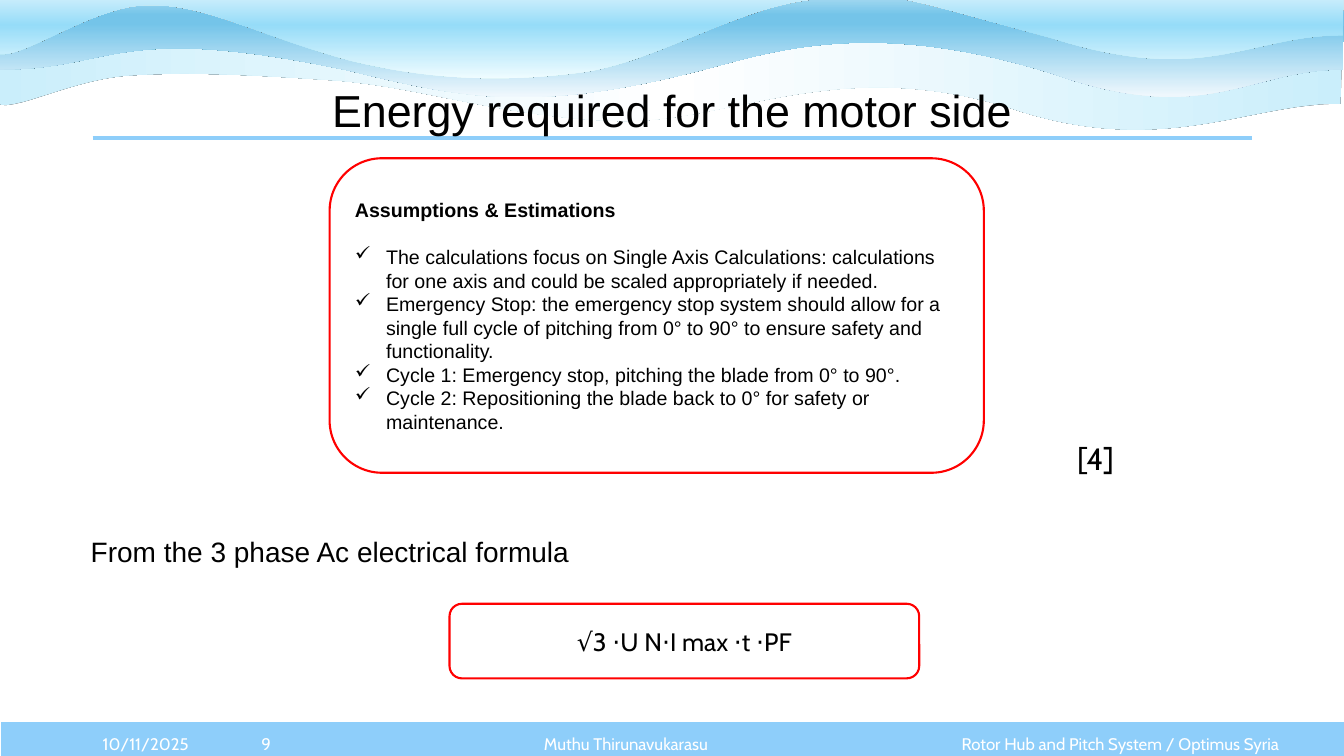
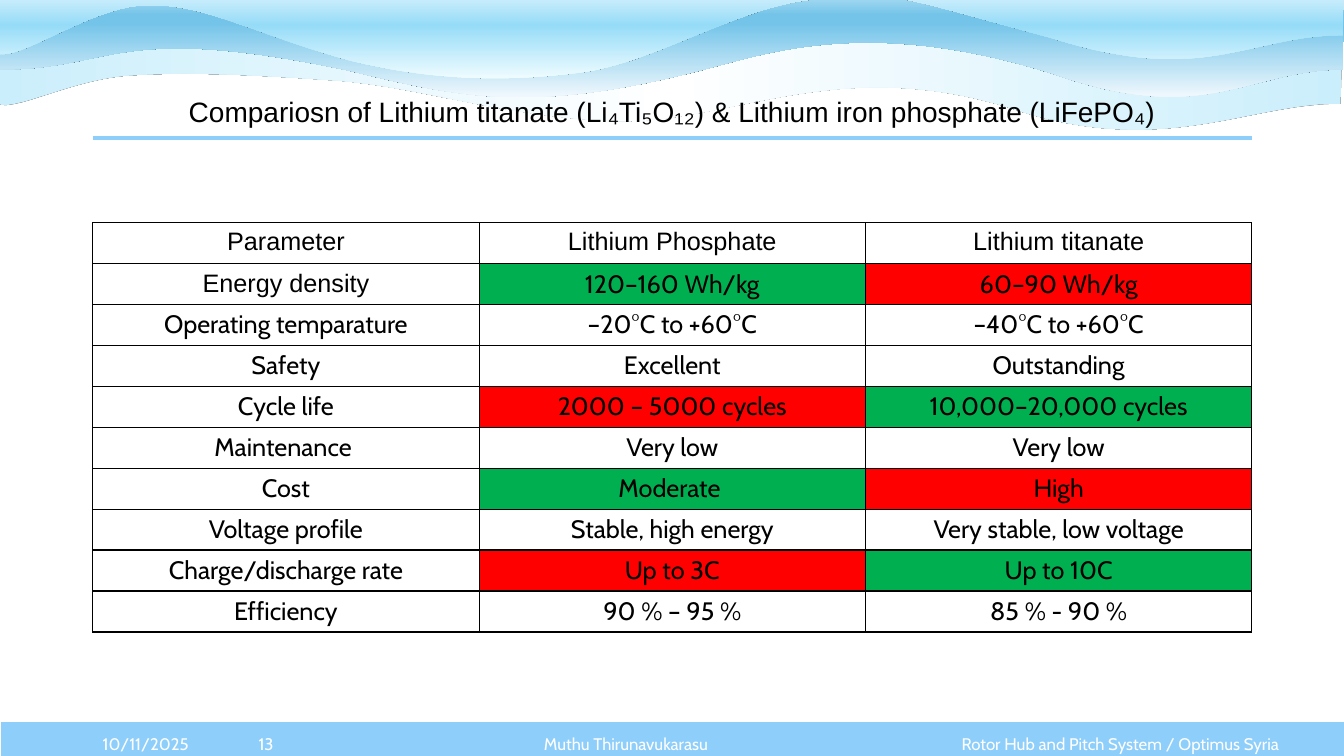
from dataclasses import dataclass

from pptx import Presentation
from pptx.dml.color import RGBColor
from pptx.enum.shapes import MSO_CONNECTOR, MSO_SHAPE
from pptx.enum.text import MSO_ANCHOR, PP_ALIGN
from pptx.oxml import parse_xml
from pptx.oxml.ns import nsdecls
from pptx.util import Inches, Pt


@dataclass(frozen=True)
class Theme:
    black: str = "000000"
    white: str = "FFFFFF"
    sky: str = "8ECEFA"
    red: str = "FF0000"
    green: str = "00B050"
    sans: str = "Arial"
    cabin: str = "Cabin"
    title: int = 32
    reference: int = 22
    lead: int = 20
    table: int = 18
    card: int = 14
    footer: int = 12


theme = Theme()


def write(paragraph, text, size, font, color=theme.black, bold=False, align=PP_ALIGN.LEFT):
    paragraph.alignment = align
    run = paragraph.add_run()
    run.text = text
    run.font.size = Pt(size)
    run.font.name = font
    run.font.bold = bold
    run.font.color.rgb = RGBColor.from_string(color)


def add_panel(shapes, preset, box, fill, line):
    panel = shapes.add_shape(preset, *map(Inches, box))
    panel.shadow.inherit = False
    panel.fill.solid()
    panel.fill.fore_color.rgb = RGBColor.from_string(fill)
    panel.line.color.rgb = RGBColor.from_string(line)
    panel.line.width = Pt(1.5)
    panel.text_frame.word_wrap = True
    panel.text_frame.vertical_anchor = MSO_ANCHOR.MIDDLE
    return panel


prs = Presentation()
prs.slide_width, prs.slide_height = Inches(40 / 3), Inches(7.5)
energy = prs.slides.add_slide(prs.slide_layouts[1])
comparison = prs.slides.add_slide(prs.slide_layouts[5])

# Waves: height, start, cubic curves, straight edge, gradient stops, gradient angle
waves = [
    (0.98, (13.3, 1.03),
     [(12.37, 1.02, 11.52, 1.59, 9.99, 1.06), (8.27, 0.54, 7.21, 1.24, 6.1, 1.2),
      (4.99, 1.16, 4.21, 0.87, 3.35, 0.8), (2.49, 0.74, 1.83, 0.71, 1.27, 0.75),
      (0.71, 0.79, 0.14, 1.11, -0.02, 1.03)],
     [(-0.04, 0.3), (3.13, 0.31), (6.52, 0.34), (9.41, 0.32), (13.32, 0.34)],
     [(0, "CAEEFB"), (50, "FFFFFF"), (100, "CAEEFB")], 0),
    (0.98, (13.32, 0.69),
     [(12.39, 0.69, 11.96, 1.27, 10.44, 0.73), (8.71, 0.19, 7.73, 0.49, 7.06, 0.67),
      (5.28, 1.14, 4.59, 0.97, 3.46, 0.7), (1.13, 0.21, 1.15, 0.69, 0, 0.69)],
     [(0.01, -0.01), (3.13, 0), (6.54, -0.02), (9.46, -0.01), (13.33, 0.03)],
     [(0, "A2D8F0"), (17, "74C4E9"), (26, "74C4E9"), (100, "F0F8FD")], 90),
    (1.06, (13.32, 0.35),
     [(12.39, 0.35, 11.96, 0.86, 10.44, 0.38), (8.72, -0.09, 8.91, -0.07, 8.13, -0.01),
      (7.35, 0.04, 6.53, 0.62, 5.76, 0.72), (4.98, 0.82, 4.24, 0.79, 3.47, 0.6),
      (2.58, 0.36, 2.07, 0.05, 1.5, 0.05), (0.92, 0.04, 0.22, 0.61, -0.03, 0.53)],
     [(0.01, -0.27), (3.13, -0.26), (6.54, -0.28), (9.46, -0.27), (13.33, -0.24)],
     [(0, "FFFFFF"), (50, "96DCF8"), (100, "EFFCFF")], 90),
]
decor = [add_panel(energy.shapes, MSO_SHAPE.RECTANGLE, (0, 7.15, 13.35, 0.4),
                   theme.sky, theme.white)]
for height, start, curves, edge, stops, angle in waves:
    handles = [curve[i:i + 2] for curve in curves for i in (0, 2, 4)]
    points = [(Inches(x), Inches(y)) for x, y in [start] + handles + edge]
    builder = energy.shapes.build_freeform(*points[0])
    builder.add_line_segments(points[1:], close=True)
    wave = builder.convert_to_shape()
    wave.line.fill.background()
    properties = wave._element.spPr

    # Each three handles become one cubic curve
    outline = properties.xpath(".//a:path")[0]
    segments = outline.xpath("a:lnTo")[:len(handles)]
    for i in range(0, len(segments), 3):
        curve = parse_xml(f'<a:cubicBezTo {nsdecls("a")}/>')
        segments[i].addprevious(curve)
        for segment in segments[i:i + 3]:
            curve.append(segment[0])
            outline.remove(segment)
    wave.height = Inches(height)
    outline.set("h", str(Inches(height)))

    stop_xml = "".join(f'<a:gs pos="{pos * 1000}"><a:srgbClr val="{color}"/></a:gs>'
                       for pos, color in stops)
    properties.insert(2, parse_xml(
        f'<a:gradFill {nsdecls("a")} rotWithShape="1"><a:gsLst>{stop_xml}</a:gsLst>'
        f'<a:lin ang="{angle * 60000}" scaled="0"/></a:gradFill>'))
    properties.append(parse_xml(
        f'<a:effectLst {nsdecls("a")}><a:outerShdw blurRad="0" dist="0" dir="0">'
        f'<a:srgbClr val="{theme.black}"/></a:outerShdw></a:effectLst>'))
    decor.append(wave)

# Rule under the title
rule = energy.shapes.add_connector(MSO_CONNECTOR.STRAIGHT, Inches(0.92), Inches(1.37),
                                   Inches(12.42), Inches(1.37))
rule.line.color.rgb = RGBColor.from_string(theme.sky)
rule.line.width = Pt(3)
rule._element.spPr.append(parse_xml(f'<a:effectLst {nsdecls("a")}/>'))
decor.append(rule)

# The band, waves and rule belong to the master, behind its placeholders
master_tree = prs.slide_master.shapes._spTree
for index, item in enumerate(decor):
    item._element.xpath(".//p:cNvPr")[0].set("id", str(100 + index))
    master_tree.insert(2 + index, item._element)

# Titles and footers
pages = [
    (energy, "Energy required for the motor side", theme.title, "9"),
    (comparison, "Compariosn of Lithium titanate (Li₄Ti₅O₁₂) & "
     "Lithium iron phosphate (LiFePO₄)", theme.lead, "13"),
]
for slide, heading, size, number in pages:
    title = slide.shapes.title
    title.left, title.top, title.width, title.height = map(Inches, (0.92, 0.4, 11.5, 1.45))
    title.text_frame.vertical_anchor = MSO_ANCHOR.MIDDLE
    title_line = title.text_frame.paragraphs[0]
    title_line.line_spacing = 0.9
    write(title_line, heading, size, theme.sans, align=PP_ALIGN.CENTER)
    for left, width, text, align in [
        (0.92, 1.22, "10/11/2025", PP_ALIGN.LEFT),
        (2.13, 1.02, number, PP_ALIGN.CENTER),
        (3.15, 6.12, "Muthu Thirunavukarasu", PP_ALIGN.CENTER),
        (9.27, 3.52, "Rotor Hub and Pitch System / Optimus Syria", PP_ALIGN.RIGHT),
    ]:
        footer = slide.shapes.add_textbox(*map(Inches, (left, 7.18, width, 0.4))).text_frame
        footer.word_wrap = True
        footer.vertical_anchor = MSO_ANCHOR.MIDDLE
        write(footer.paragraphs[0], text, theme.footer, theme.cabin, theme.white, align=align)

# Energy: reference and lead-in
body = energy.placeholders[1]
body.left, body.top, body.width, body.height = map(Inches, (0.8, 4.35, 10.35, 1.6))
reference = body.text_frame.paragraphs[0]
lead = body.text_frame.add_paragraph()
for paragraph, gap in ((reference, 0), (lead, 44)):
    properties = paragraph._p.get_or_add_pPr()
    properties.set("marL", "0")
    properties.set("indent", "0")
    properties.append(parse_xml(f'<a:buNone {nsdecls("a")}/>'))
    paragraph.line_spacing = 0.9
    paragraph.space_before = Pt(gap)
write(reference, "[4]", theme.reference, theme.cabin, align=PP_ALIGN.RIGHT)
write(lead, "From the 3 phase Ac electrical formula", theme.lead, theme.sans)

# Energy: assumptions card
assumptions = add_panel(energy.shapes, MSO_SHAPE.ROUNDED_RECTANGLE,
                        (3.27, 1.57, 6.49, 3.12), theme.white, theme.red).text_frame
write(assumptions.paragraphs[0], "Assumptions & Estimations", theme.card, theme.sans, bold=True)
for index, text in enumerate([
    "The calculations focus on Single Axis Calculations: calculations for one axis "
    "and could be scaled appropriately if needed.",
    "Emergency Stop: the emergency stop system should allow for a single full cycle "
    "of pitching from 0° to 90° to ensure safety and functionality.",
    "Cycle 1: Emergency stop, pitching the blade from 0° to 90°.",
    "Cycle 2: Repositioning the blade back to 0° for safety or maintenance.",
]):
    assumption = assumptions.add_paragraph()
    properties = assumption._p.get_or_add_pPr()
    properties.set("marL", str(Inches(0.31)))
    properties.set("indent", str(-Inches(0.31)))
    # The letter ü is the check mark in Wingdings
    properties.append(parse_xml(
        f'<a:buFont {nsdecls("a")} typeface="Wingdings" pitchFamily="2" charset="2"/>'))
    properties.append(parse_xml(f'<a:buChar {nsdecls("a")} char="ü"/>'))
    assumption.space_before = Pt(0 if index else 17)
    write(assumption, text, theme.card, theme.sans)

# Energy: formula
formula = add_panel(energy.shapes, MSO_SHAPE.ROUNDED_RECTANGLE,
                    (4.46, 5.99, 4.66, 0.74), theme.white, theme.red).text_frame
write(formula.paragraphs[0], "√3 ⋅U N⋅I max ⋅t ⋅PF", theme.table, theme.cabin,
      align=PP_ALIGN.CENTER)

# Comparison table: the last value is the column of the better battery, 0 for neither
batteries = [
    ("Parameter", "Lithium Phosphate", "Lithium titanate", 0),
    ("Energy density", "120–160 Wh/kg", "60–90 Wh/kg", 1),
    ("Operating temparature", "–20°C to +60°C", "–40°C to +60°C", 0),
    ("Safety", "Excellent", "Outstanding", 0),
    ("Cycle life", "2000 – 5000 cycles", "10,000–20,000 cycles", 2),
    ("Maintenance ", "Very low", "Very low", 0),
    ("Cost", "Moderate ", "High", 1),
    ("Voltage profile", "Stable, high energy", "Very stable, low voltage", 0),
    ("Charge/discharge rate", "Up to 3C", "Up to 10C", 2),
    ("Efficiency", "90 % – 95 %", "85 % - 90 %", 0),
]
table = comparison.shapes.add_table(len(batteries), 3, *map(Inches, (0.92, 2.21, 11.5, 4.06))).table
table.first_row = table.horz_banding = False
for row, (*texts, better) in enumerate(batteries):
    for column, text in enumerate(texts):
        cell = table.cell(row, column)
        cell.vertical_anchor = MSO_ANCHOR.MIDDLE if (row, column) == (1, 0) else MSO_ANCHOR.TOP
        fill = theme.white
        if better and column:
            fill = theme.green if column == better else theme.red
        cell.fill.solid()
        cell.fill.fore_color.rgb = RGBColor.from_string(fill)
        for index, side in enumerate("LRTB"):
            cell._tc.get_or_add_tcPr().insert(index, parse_xml(
                f'<a:ln{side} {nsdecls("a")} w="{Pt(1)}"><a:solidFill>'
                f'<a:srgbClr val="{theme.black}"/></a:solidFill></a:ln{side}>'))
        font = theme.sans if row == 0 or (row, column) == (1, 0) else theme.cabin
        write(cell.text_frame.paragraphs[0], text, theme.table, font, align=PP_ALIGN.CENTER)

prs.save("out.pptx")
